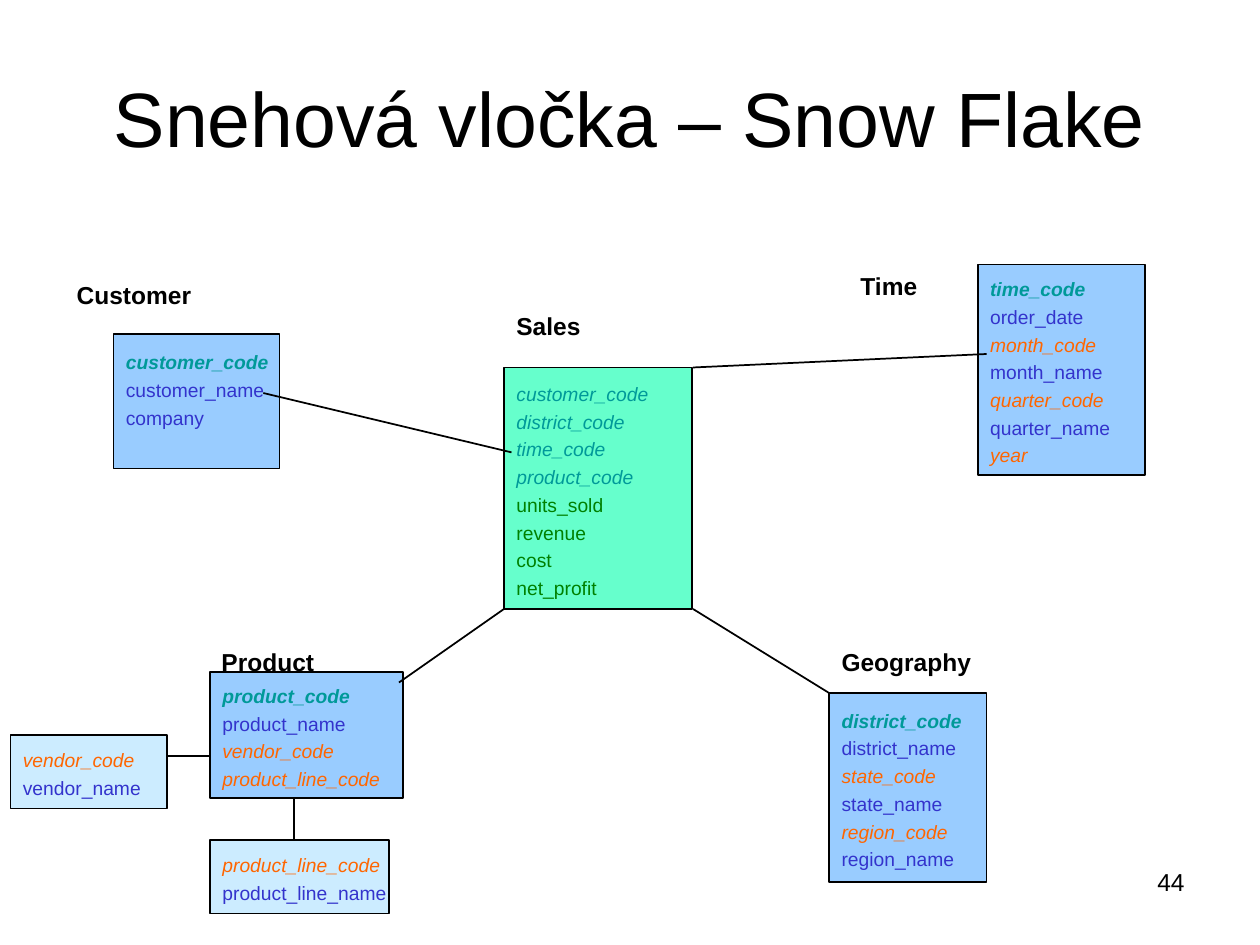
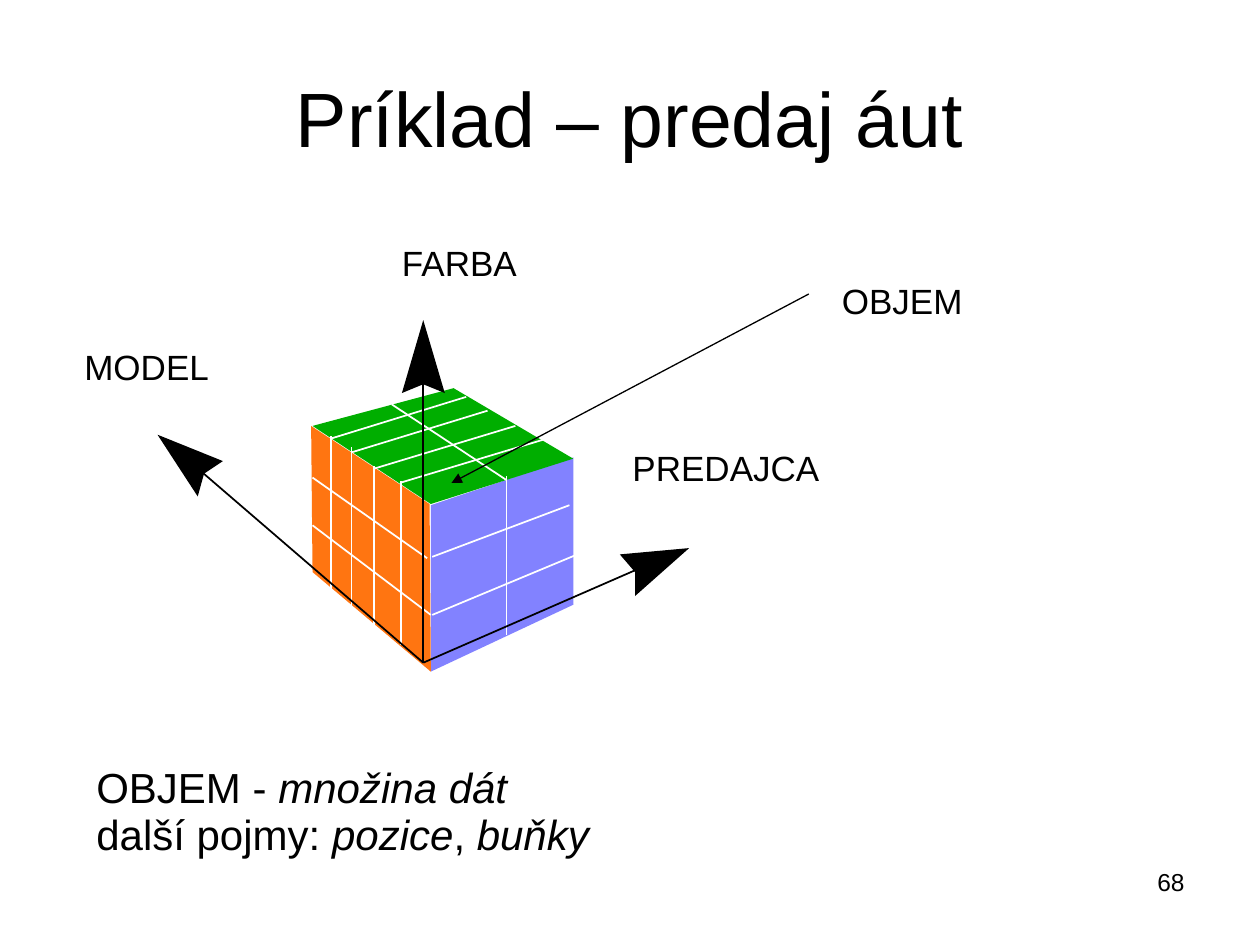
from pptx import Presentation
from pptx import util as u
from pptx.dml.color import RGBColor
from pptx.enum import shapes, text
from pptx.oxml import parse_xml
from pptx.oxml.ns import nsdecls, qn

Pt = u.Pt
COLOURS = {
    "black": "000000", "white": "FFFFFF",
    "dimension": "99CCFF", "outrigger": "CCECFF", "fact": "66FFCC",
    "key": "009999", "attribute": "3333CC", "level": "FF6600", "measure": "008000",
    "right face": "8282FF", "left face": "FF7511", "top face": "00AE00",
}
LEFT, CENTRE, RIGHT = text.PP_ALIGN.LEFT, text.PP_ALIGN.CENTER, text.PP_ALIGN.RIGHT
TOP, MIDDLE, BOTTOM = (text.MSO_ANCHOR.TOP, text.MSO_ANCHOR.MIDDLE, text.MSO_ANCHOR.BOTTOM)
INSETS = (7.2, 3.6, 7.2, 3.6)
FIELD_PITCH = 15.8


def rgb(name):
    return RGBColor.from_string(COLOURS[name])


def write(frame, paragraphs, size=14, colour="black", bold=False, italic=False,
          align=LEFT, anchor=TOP, spacing=None, insets=INSETS, wrap=True, grow=False):
    """Fill a frame; each paragraph is a string or a list of (string, overrides)."""
    frame.auto_size = (text.MSO_AUTO_SIZE.SHAPE_TO_FIT_TEXT if grow
                       else text.MSO_AUTO_SIZE.NONE)
    frame.word_wrap = wrap
    frame.vertical_anchor = anchor
    (frame.margin_left, frame.margin_top,
     frame.margin_right, frame.margin_bottom) = map(Pt, insets)
    if isinstance(paragraphs, str):
        paragraphs = [paragraphs]
    for i, content in enumerate(paragraphs):
        paragraph = frame.paragraphs[0] if i == 0 else frame.add_paragraph()
        paragraph.alignment = align
        if spacing:
            paragraph.line_spacing = spacing
        runs = [(content, {})] if isinstance(content, str) else content
        for words, own in runs:
            run = paragraph.add_run()
            run.text = words
            run.font.name = "Arial"
            run.font.size = Pt(size)
            run.font.bold = own.get("bold", bold)
            run.font.italic = own.get("italic", italic)
            run.font.color.rgb = rgb(own.get("colour", colour))


class Deck:
    def __init__(self):
        self.prs = Presentation()
        self.prs.slide_width, self.prs.slide_height = Pt(720), Pt(540)
        self.slide = None

    def new_slide(self, title, number):
        self.slide = self.prs.slides.add_slide(self.prs.slide_layouts[6])
        self.label(title, 36, 21.6, 648, 90, size=44, align=CENTRE, anchor=MIDDLE)
        self.label(number, 516, 492, 168, 37.4, align=RIGHT)

    def label(self, words, x, y, w, h, **style):
        box = self.slide.shapes.add_textbox(Pt(x), Pt(y), Pt(w), Pt(h))
        write(box.text_frame, words, **style)

    def table_box(self, fields, x, y, w, h, fill, spare_lines=0):
        box = self.slide.shapes.add_shape(
            shapes.MSO_SHAPE.RECTANGLE, Pt(x), Pt(y), Pt(w), Pt(h))
        box.shadow.inherit = False
        box.fill.solid()
        box.fill.fore_color.rgb = rgb(fill)
        box.line.color.rgb = rgb("black")
        box.line.width = Pt(1)
        write(box.text_frame, fields, size=11, anchor=MIDDLE, spacing=1.2, wrap=False,
              insets=(7.2, 3.6, 7.2, 3.6 + spare_lines * FIELD_PITCH))

    def line(self, x1, y1, x2, y2, colour="black", width=1, arrow=False):
        link = self.slide.shapes.add_connector(
            shapes.MSO_CONNECTOR.STRAIGHT, Pt(x1), Pt(y1), Pt(x2), Pt(y2))
        link.line.color.rgb = rgb(colour)
        link.line.width = Pt(width)
        properties = link._element.spPr
        if arrow:
            properties.find(qn("a:ln")).append(
                parse_xml(f'<a:tailEnd {nsdecls("a")} type="triangle"/>'))
        properties.append(parse_xml(f'<a:effectLst {nsdecls("a")}/>'))

    def polygon(self, corners, fill):
        points = [(Pt(x), Pt(y)) for x, y in corners]
        builder = self.slide.shapes.build_freeform(*points[0])
        builder.add_line_segments(points[1:], close=True)
        outline = builder.convert_to_shape()
        outline.shadow.inherit = False
        outline.fill.solid()
        outline.fill.fore_color.rgb = rgb(fill)
        outline.line.fill.background()


def styled_fields(names, kind):
    """Colour each field by its role in a fact, dimension or outrigger table."""
    fields = []
    for i, name in enumerate(names.split()):
        is_code = name.endswith("_code") or name == "year"
        own = {"italic": is_code}
        if kind == "fact":
            own["colour"] = "key" if is_code else "measure"
        elif kind == "dimension" and i == 0:
            own.update(colour="key", bold=True)
        else:
            own["colour"] = "level" if is_code else "attribute"
        fields.append([(name, own)])
    return fields


def snow_flake(deck):
    deck.new_slide("Snehová vločka – Snow Flake", "44")

    # Tables: kind, fields, position, spare lines at the bottom
    tables = [
        ("dimension", "customer_code customer_name company", (64.8, 190.8, 95, 77), 1),
        ("dimension", "time_code order_date month_code month_name quarter_code "
                      "quarter_name year", (558.7, 151.2, 95.8, 120.2), 0),
        ("dimension", "district_code district_name state_code state_name region_code "
                      "region_name", (473.8, 396, 90, 108), 0),
        ("dimension", "product_code product_name vendor_code product_line_code",
         (120, 384, 110.2, 72), 0),
        ("fact", "customer_code district_code time_code product_code units_sold "
                 "revenue cost net_profit", (288, 210, 107.3, 138.2), 0),
        ("outrigger", "product_line_code product_line_name", (120, 480, 102.2, 42), 0),
        ("outrigger", "vendor_code vendor_name", (6, 420, 89.3, 42), 0),
    ]
    for kind, names, place, spare in tables:
        deck.table_box(styled_fields(names, kind), *place, kind, spare)

    # Relations
    for ends in [(150.5, 224.6, 292.3, 258.5), (563.8, 202.3, 396, 210),
                 (288, 348, 228, 390), (396, 348, 473.8, 396),
                 (96, 432, 120, 432), (168, 456, 168, 480)]:
        deck.line(*ends)

    # Table names
    for name, x, y, w in [("Time", 484.6, 151.2, 47.5), ("Product", 119.5, 366, 67.7),
                          ("Geography", 473.8, 366, 88.6), ("Sales", 288, 174.2, 51.1),
                          ("Customer", 36.7, 156.6, 79.9)]:
        deck.label(name, x, y, w, 24, bold=True, wrap=False, grow=True)


def car_sales(deck):
    deck.new_slide("Príklad – predaj áut", "68")

    # Cube faces
    deck.polygon([(246.2, 383.8), (246.2, 288.7), (327.6, 261.4), (327.6, 345.6)],
                 "right face")
    deck.polygon([(177.8, 243.4), (178.6, 326.9), (246.2, 383.8), (245.5, 288)],
                 "left face")
    deck.polygon([(178.6, 243.4), (246.2, 288), (327.6, 262.1), (259.2, 221.8)],
                 "top face")

    # Model slices: down the left face, then across the top face
    for x, bottom, top, front, back_x, back in [
            (189.2, 337, 249.1, 250.6, 266.4, 226.8),
            (200.9, 346.3, 255.6, 258.5, 278.6, 234.7),
            (213.8, 357.1, 266.4, 267.8, 294.5, 243.4),
            (229, 368.6, 275, 275.8, 310.3, 251.3)]:
        deck.line(x, bottom, x, top, "white")
        deck.line(x, front, back_x, back, "white")

    # Colour layers and the seller slice
    for ends in [(246.2, 351.4, 178.6, 300.2), (244.1, 319, 178.6, 272.9),
                 (247, 318.2, 325.4, 288.7), (247, 351.4, 328.3, 317.5),
                 (223.9, 231.1, 289.4, 274.3), (289.4, 272.2, 289.4, 362.9)]:
        deck.line(*ends, "white")

    # Axes with their notched heads
    origin = (241.9, 378.7)
    for end, head in [
            ((367.2, 324), [(362.9, 340.6), (362.9, 326.9), (354.2, 316.8), (393.8, 313.2)]),
            ((112.3, 267.1), [(127.4, 263.5), (116.6, 270.7), (113, 283.7), (90, 248.4)]),
            ((241.9, 213.1), [(254.2, 224.6), (241.9, 219.6), (229.7, 224.6),
                              (241.9, 182.9)])]:
        deck.line(*origin, *end)
        deck.polygon(head, "black")

    # Axis names
    for name, x, y, w, h in [("FARBA", 229.7, 138.2, 131.8, 35.3),
                             ("MODEL", 48.2, 197.3, 139.7, 43.2),
                             ("PREDAJCA", 361.4, 254.9, 358.6, 43.2)]:
        deck.label(name, x, y, w, h, size=20, insets=(0, 0, 0, 0))

    # Volume pointer and the terms below
    deck.line(462.2, 168, 258, 276, width=0.75, arrow=True)
    deck.label("OBJEM", 474, 156, 144, 31.7, size=20)
    slanted = {"italic": True}
    deck.label([[("OBJEM - ", {}), ("množina dát", slanted)],
                [("další pojmy: ", {}), ("pozice", slanted), (", ", {}),
                 ("buňky", slanted)]],
               48, 401.8, 432, 89.3, size=24, anchor=BOTTOM, spacing=Pt(27),
               insets=(7.2, 3.6, 7.2, 0))


def main():
    deck = Deck()
    snow_flake(deck)
    car_sales(deck)
    deck.prs.save("out.pptx")


if __name__ == "__main__":
    main()
